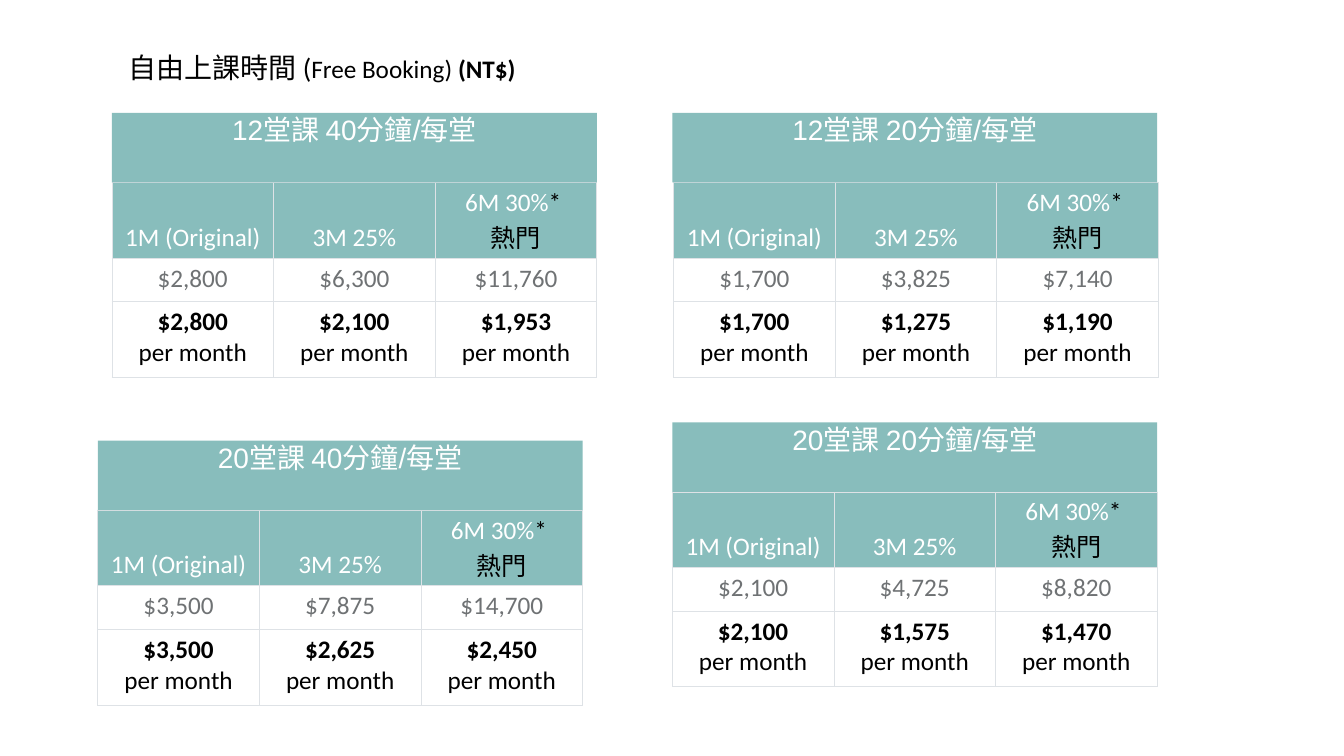
from dataclasses import dataclass

import lxml.etree
import pptx
import pptx.dml.color
import pptx.enum.shapes
import pptx.enum.text
import pptx.oxml.ns
import pptx.util

Pt = pptx.util.Pt
RGBColor = pptx.dml.color.RGBColor
ALIGN = pptx.enum.text.PP_ALIGN
ANCHOR = pptx.enum.text.MSO_ANCHOR

TEAL = RGBColor(0x88, 0xBD, 0xBC)
WHITE = RGBColor(0xFF, 0xFF, 0xFF)
BLACK = RGBColor(0, 0, 0)
GREY = RGBColor(0x6F, 0x72, 0x74)
BORDER = RGBColor(0xDE, 0xE2, 0xE6)

PLAN_WIDTH = 346.32
BANNER_HEIGHT = 49.68
ROW_HEIGHTS = (54, 31.2, 54)


@dataclass(frozen=True)
class Span:
    text: str
    color: RGBColor = BLACK
    bold: bool = False
    size: float = 18
    font: str = "Calibri"


@dataclass(frozen=True)
class Plan:
    heading: str
    left: float
    top: float
    totals: tuple[str, ...]
    monthly: tuple[str, ...]
    table_shift: float = 0


Lines = list[list[Span]]

PLANS = (
    Plan("12堂課 40分鐘/每堂", 80, 80.64,
         ("$2,800", "$6,300", "$11,760"), ("$2,800", "$2,100", "$1,953")),
    Plan("12堂課 20分鐘/每堂", 480.24, 80.64,
         ("$1,700", "$3,825", "$7,140"), ("$1,700", "$1,275", "$1,190"), 0.9),
    Plan("20堂課 40分鐘/每堂", 69.84, 314.64,
         ("$3,500", "$7,875", "$14,700"), ("$3,500", "$2,625", "$2,450")),
    Plan("20堂課 20分鐘/每堂", 480.24, 301.68,
         ("$2,100", "$4,725", "$8,820"), ("$2,100", "$1,575", "$1,470")),
)

TERMS: list[Lines] = [
    [[Span("1M (Original)", WHITE)]],
    [[Span("3M 25%", WHITE)]],
    [[Span("6M 30%", WHITE), Span("* ")], [Span("熱門")]],
]


def write(frame: pptx.text.text.TextFrame, lines: Lines, align: ALIGN) -> None:
    for index, spans in enumerate(lines):
        paragraph = frame.add_paragraph() if index else frame.paragraphs[0]
        paragraph.alignment = align
        for span in spans:
            run = paragraph.add_run()
            run.text = span.text
            run.font.name = span.font
            run.font.size = Pt(span.size)
            run.font.bold = span.bold
            run.font.color.rgb = span.color


def set_borders(cell: pptx.table._Cell) -> None:
    qn = pptx.oxml.ns.qn
    properties = cell._tc.get_or_add_tcPr()
    for side in ("a:lnL", "a:lnR", "a:lnT", "a:lnB"):
        edge = lxml.etree.SubElement(properties, qn(side), w=str(Pt(0.5)))
        fill = lxml.etree.SubElement(edge, qn("a:solidFill"))
        lxml.etree.SubElement(fill, qn("a:srgbClr"), val=str(BORDER))


def draw_prices(slide: pptx.slide.Slide, plan: Plan) -> None:
    rows = (
        TERMS,
        [[[Span(total, GREY)]] for total in plan.totals],
        [[[Span(price, bold=True)], [Span("per month")]] for price in plan.monthly],
    )
    prices = slide.shapes.add_table(
        len(rows), len(TERMS), Pt(plan.left + plan.table_shift),
        Pt(plan.top + BANNER_HEIGHT), Pt(PLAN_WIDTH), Pt(sum(ROW_HEIGHTS))).table
    prices.first_row = False
    prices.horz_banding = False
    for column in prices.columns:
        column.width = Pt(PLAN_WIDTH / len(TERMS))
    for row_index, (height, row) in enumerate(zip(ROW_HEIGHTS, rows)):
        prices.rows[row_index].height = Pt(height)
        for column_index, lines in enumerate(row):
            cell = prices.cell(row_index, column_index)
            set_borders(cell)
            cell.fill.solid()
            cell.fill.fore_color.rgb = WHITE if row_index else TEAL
            cell.vertical_anchor = ANCHOR.TOP if row_index else ANCHOR.BOTTOM
            write(cell.text_frame, lines, ALIGN.CENTER)


def draw_banner(slide: pptx.slide.Slide, plan: Plan) -> None:
    banner = slide.shapes.add_shape(
        pptx.enum.shapes.MSO_SHAPE.RECTANGLE, Pt(plan.left), Pt(plan.top),
        Pt(PLAN_WIDTH), Pt(BANNER_HEIGHT))
    banner.shadow.inherit = False
    banner.fill.solid()
    banner.fill.fore_color.rgb = TEAL
    banner.line.fill.background()
    frame = banner.text_frame
    frame.word_wrap = True
    frame.vertical_anchor = ANCHOR.TOP
    frame.margin_top = Pt(0)
    frame.margin_bottom = Pt(3.6)
    write(frame, [[Span(plan.heading, WHITE, size=20, font="Arial")]], ALIGN.CENTER)


def draw_title(slide: pptx.slide.Slide) -> None:
    title = slide.shapes.add_textbox(Pt(80), Pt(32.4), Pt(PLAN_WIDTH), Pt(31.68))
    title.text_frame.word_wrap = True
    write(title.text_frame, [[
        Span(" 自由上課時間 (", size=20),
        Span("Free Booking) "),
        Span("(NT$) ", bold=True),
    ]], ALIGN.LEFT)


presentation = pptx.Presentation()
presentation.slide_width = Pt(960)
presentation.slide_height = Pt(540)
price_slide = presentation.slides.add_slide(presentation.slide_layouts[6])
draw_title(price_slide)
for lesson_plan in PLANS:
    draw_prices(price_slide, lesson_plan)
    draw_banner(price_slide, lesson_plan)
presentation.save("out.pptx")
